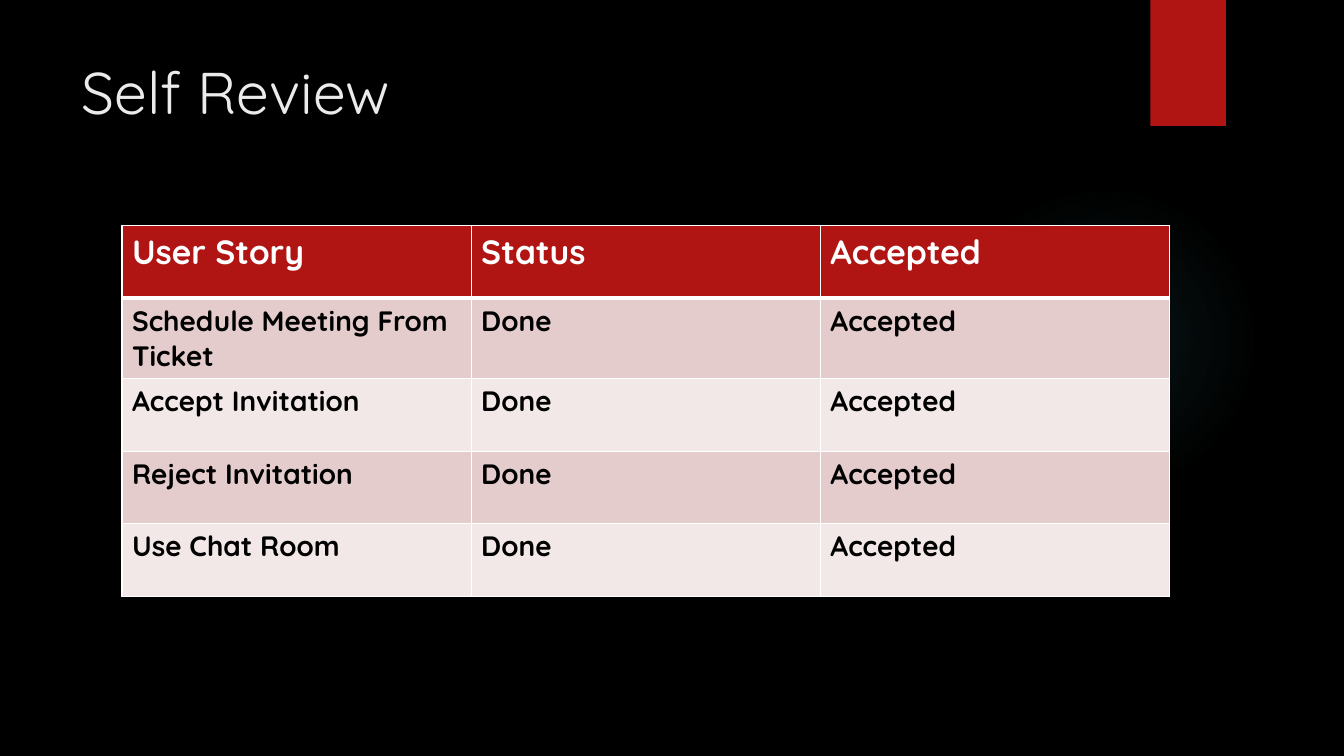
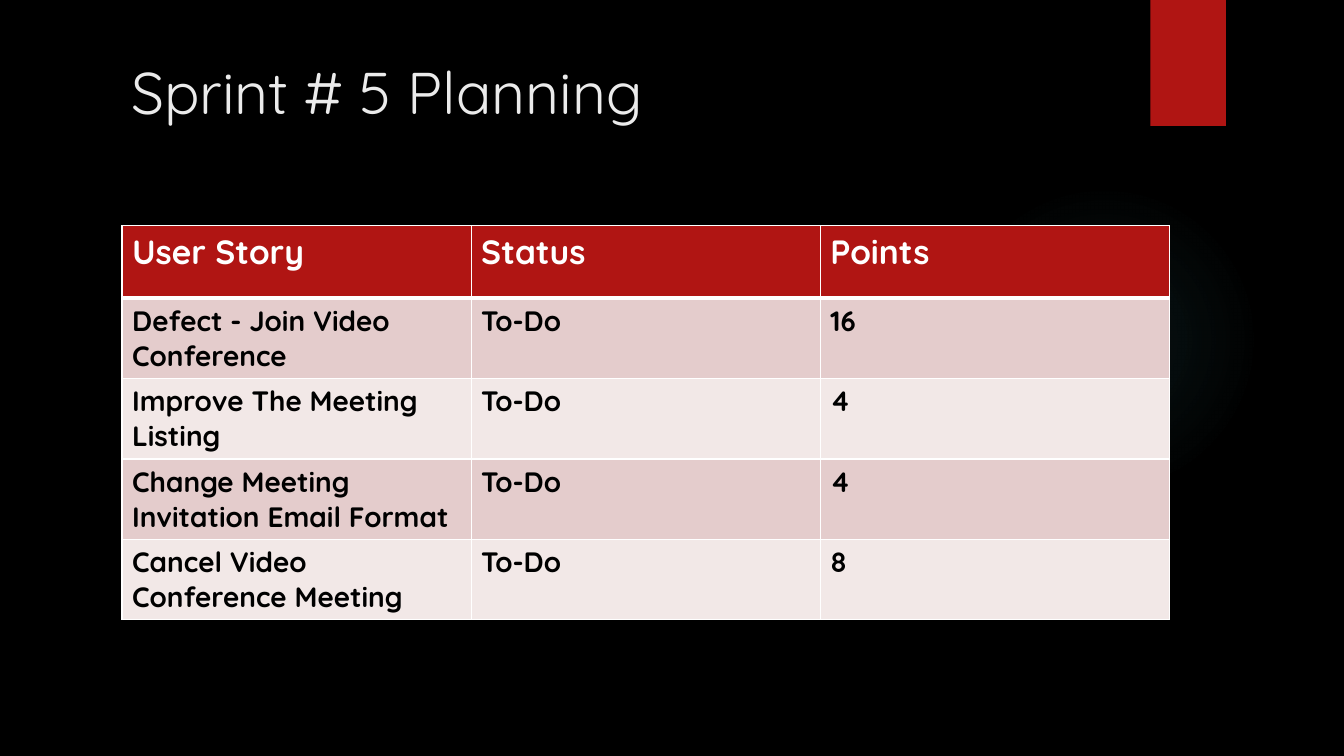
from lxml import etree
from pptx import Presentation
from pptx.dml.color import RGBColor
from pptx.enum.shapes import MSO_SHAPE as Shape
from pptx.enum.text import MSO_ANCHOR as Anchor, PP_ALIGN as Align
from pptx.oxml import parse_xml
from pptx.oxml.ns import nsdecls, qn
from pptx.util import Inches, Pt

WIDTH, HEIGHT = 13.33, 7.5
FONT = "Quicksand"
BLACK, WHITE, PALE = "000000", "FFFFFF", "EBEBEB"
RED, TEAL = "B01513", "50B9C1"
BANDS = ("E4CCCC", "F2E8E7")
GLOW_STOPS = ((0, 7), (36, 6), (69, 0))  # position and opacity in percent

TITLE_TOP, TITLE_RIGHT, TITLE_HEIGHT = 0.5, 11, 1.53
GLOW_BOX = (9.41, 1.83, 3.08, 3.08)
TAB_BOX = (11.41, 0, 0.75, HEIGHT / 6)
TABLE_LEFT, TABLE_TOP, TABLE_WIDTH = 1.21, 2.24, 10.39
ROW_HEIGHT = 0.72

SLIDES = (
    ("Self Review", 0.71, (
        ("User Story", "Status", "Accepted"),
        ("Schedule Meeting From Ticket", "Done", "Accepted"),
        ("Accept Invitation", "Done", "Accepted"),
        ("Reject Invitation", "Done", "Accepted"),
        ("Use Chat Room", "Done", "Accepted"),
    )),
    ("Sprint # 5 Planning", 1.2, (
        ("User Story", "Status", "Points"),
        ("Defect - Join Video Conference", "To-Do", "16"),
        ("Improve The Meeting Listing", "To-Do", "4"),
        ("Change Meeting Invitation Email Format", "To-Do", "4"),
        ("Cancel Video Conference Meeting", "To-Do", "8"),
    )),
)


def paint(fill, color):
    fill.solid()
    fill.fore_color.rgb = RGBColor.from_string(color)


def style(para, size, color, bold=False):
    font = para.font
    font.name, font.size, font.bold = FONT, Pt(size), bold
    font.color.rgb = RGBColor.from_string(color)


def add_plain_shape(page, kind, box, color):
    shape = page.shapes.add_shape(kind, *map(Inches, box))
    shape.shadow.inherit = False
    shape.line.fill.background()
    paint(shape.fill, color)
    return shape


def add_decor(page):
    """Soft round glow and the red tab hanging from the top edge."""
    glow = add_plain_shape(page, Shape.OVAL, GLOW_BOX, TEAL)
    stops = "".join(
        f'<a:gs pos="{pos * 1000}"><a:srgbClr val="{TEAL}">'
        f'<a:alpha val="{opacity * 1000}"/></a:srgbClr></a:gs>'
        for pos, opacity in GLOW_STOPS)
    gradient = parse_xml(
        f'<a:gradFill {nsdecls("a")}><a:gsLst>{stops}</a:gsLst><a:path path="circle">'
        '<a:fillToRect l="50000" t="50000" r="50000" b="50000"/></a:path></a:gradFill>')
    properties = glow._element.spPr
    properties.replace(properties.find(qn("a:solidFill")), gradient)
    add_plain_shape(page, Shape.RECTANGLE, TAB_BOX, RED)


def set_title(page, text, left):
    title = page.shapes.title
    title.left, title.top = Inches(left), Inches(TITLE_TOP)
    title.width, title.height = Inches(TITLE_RIGHT - left), Inches(TITLE_HEIGHT)
    frame = title.text_frame
    frame.text = text
    frame.vertical_anchor = Anchor.TOP
    para = frame.paragraphs[0]
    para.alignment = Align.LEFT
    style(para, 42, PALE)


def set_borders(cell, top, bottom):
    """White lines round a cell; top and bottom are widths in points."""
    properties = cell._tc.get_or_add_tcPr()
    for side, width in (("L", 1), ("R", 1), ("T", top), ("B", bottom)):
        line = etree.SubElement(properties, qn(f"a:ln{side}"), w=str(Pt(width)))
        fill = etree.SubElement(line, qn("a:solidFill"))
        etree.SubElement(fill, qn("a:srgbClr"), val=WHITE)


def add_story_table(page, rows, left, top, width):
    table = page.shapes.add_table(
        len(rows), len(rows[0]), Inches(left), Inches(top),
        Inches(width), Inches(ROW_HEIGHT * len(rows))).table
    for row, texts in enumerate(rows):
        header = row == 0
        for column, text in enumerate(texts):
            cell = table.cell(row, column)
            cell.text = text
            style(cell.text_frame.paragraphs[0], 24 if header else 20,
                  WHITE if header else BLACK, bold=True)
            set_borders(cell, top=3 if row == 1 else 1, bottom=3 if header else 1)
            paint(cell.fill, RED if header else BANDS[(row - 1) % 2])


def main():
    deck = Presentation()
    deck.slide_width, deck.slide_height = Inches(WIDTH), Inches(HEIGHT)
    paint(deck.slide_master.background.fill, BLACK)
    title_only = deck.slide_layouts.get_by_name("Title Only")
    for title, title_left, rows in SLIDES:
        page = deck.slides.add_slide(title_only)
        add_decor(page)
        set_title(page, title, title_left)
        add_story_table(page, rows, TABLE_LEFT, TABLE_TOP, TABLE_WIDTH)
    deck.save("out.pptx")


if __name__ == "__main__":
    main()
